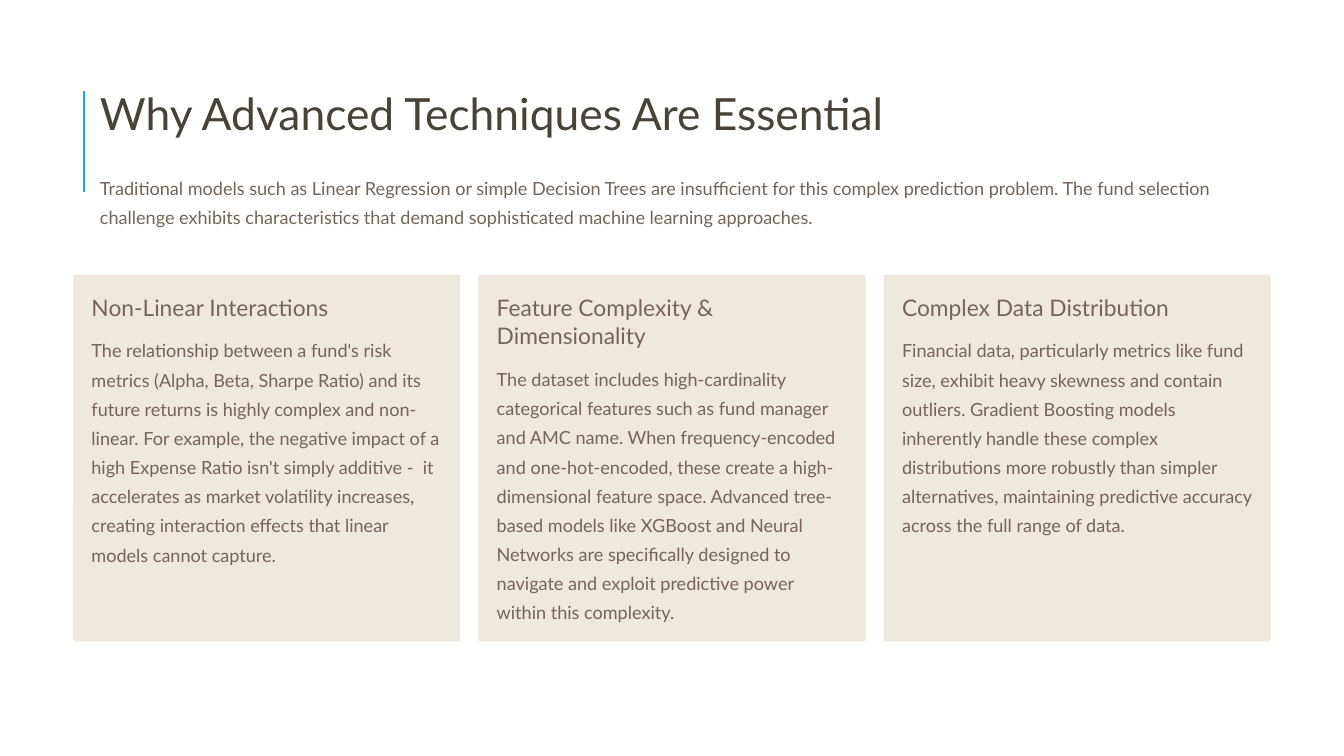
"""Build a slide with a title, an introduction and three text cards."""
import pptx
import pptx.dml.color
import pptx.enum.shapes
import pptx.enum.text
import pptx.oxml.ns
import pptx.util
from lxml import etree

Pt = pptx.util.Pt
FONT = "Lato"
COLORS = {"title": "484237", "text": "746558", "card": "EEE8DD", "accent": "1CADE4"}

CARD_LEFT, CARD_TOP, CARD_WIDTH, CARD_HEIGHT = 62.6, 235.4, 331.9, 314.6
CARD_PITCH, CARD_INSET = 347.4, 15.8
HEADING_LINE, HEADING_GAP = 24.5, 9.2

INTRO = (
    "Traditional models such as Linear Regression or simple Decision Trees are "
    "insufficient for this complex prediction problem. The fund selection challenge "
    "exhibits characteristics that demand sophisticated machine learning approaches."
)
CARDS = [
    ("Non-Linear Interactions", 1,
     "The relationship between a fund's risk metrics (Alpha, Beta, Sharpe Ratio) and its "
     "future returns is highly complex and non-linear. For example, the negative impact "
     "of a high Expense Ratio isn't simply additive -  it accelerates as market "
     "volatility increases, creating interaction effects that linear models cannot capture."),
    ("Feature Complexity & Dimensionality", 2,
     "The dataset includes high-cardinality categorical features such as fund manager "
     "and AMC name. When frequency-encoded and one-hot-encoded, these create a "
     "high-dimensional feature space. Advanced tree-based models like XGBoost and Neural "
     "Networks are specifically designed to navigate and exploit predictive power within "
     "this complexity."),
    ("Complex Data Distribution", 1,
     "Financial data, particularly metrics like fund size, exhibit heavy skewness and "
     "contain outliers. Gradient Boosting models inherently handle these complex "
     "distributions more robustly than simpler alternatives, maintaining predictive "
     "accuracy across the full range of data."),
]


def rgb(name):
    """Return the named colour."""
    return pptx.dml.color.RGBColor.from_string(COLORS[name])


def write_text(sp, text, size, spacing, color="text", wrap=True):
    """Fill a shape with one formatted paragraph without margins."""
    tf = sp.text_frame
    tf.margin_left = tf.margin_top = tf.margin_right = tf.margin_bottom = 0
    tf.word_wrap = wrap
    tf.auto_size = pptx.enum.text.MSO_AUTO_SIZE.NONE
    tf.vertical_anchor = pptx.enum.text.MSO_ANCHOR.TOP
    p = tf.paragraphs[0]
    p.alignment = pptx.enum.text.PP_ALIGN.LEFT
    p.line_spacing = Pt(spacing)
    p.space_before = Pt(0)
    r = p.add_run()
    r.text = text
    r.font.name = FONT
    r.font.size = Pt(size)
    r.font.color.rgb = rgb(color)


def add_text(s, left, top, width, height, text, size, spacing):
    """Add a wrapped text box."""
    sp = s.shapes.add_textbox(Pt(left), Pt(top), Pt(width), Pt(height))
    write_text(sp, text, size, spacing)


def add_title(s, text):
    """Place and fill the title placeholder."""
    sp = s.shapes.title
    sp.left, sp.top, sp.width, sp.height = Pt(85.7), Pt(80.6), Pt(794.9), Pt(51.8)
    write_text(sp, text, 38, 39, "title", wrap=False)


def add_accent_line(s):
    """Draw the vertical line beside the title."""
    line = s.shapes.add_connector(
        pptx.enum.shapes.MSO_CONNECTOR.STRAIGHT, Pt(72), Pt(164.2), Pt(72), Pt(77.8))
    line.line.color.rgb = rgb("accent")
    line.line.width = Pt(1.5)
    etree.SubElement(line._element.spPr, pptx.oxml.ns.qn("a:effectLst"))


def add_card(s, left, heading, heading_lines, body):
    """Add a rounded panel with its heading and body text."""
    sp = s.shapes.add_shape(
        pptx.enum.shapes.MSO_SHAPE.ROUNDED_RECTANGLE,
        Pt(left), Pt(CARD_TOP), Pt(CARD_WIDTH), Pt(CARD_HEIGHT))
    sp.adjustments[0] = 0.007
    sp.shadow.inherit = False
    sp.fill.solid()
    sp.fill.fore_color.rgb = rgb("card")
    sp.line.fill.background()

    text_left = left + CARD_INSET
    text_width = CARD_WIDTH - 2 * CARD_INSET
    heading_top = CARD_TOP + CARD_INSET
    heading_height = heading_lines * HEADING_LINE
    body_top = heading_top + heading_height + HEADING_GAP
    body_height = CARD_TOP + CARD_HEIGHT - CARD_INSET - body_top
    add_text(s, text_left, heading_top, text_width, heading_height, heading, 19.5, 24)
    add_text(s, text_left, body_top, text_width, body_height, body, 15.5, 25)


def main():
    """Build and save the slide."""
    prs = pptx.Presentation()
    prs.slide_width, prs.slide_height = Pt(1152), Pt(648)
    s = prs.slides.add_slide(prs.slide_layouts.get_by_name("Title Only"))
    add_accent_line(s)
    add_title(s, "Why Advanced Techniques Are Essential")
    add_text(s, 85.7, 145.4, 1011.6, 49.7, INTRO, 15.5, 25)
    for i, card in enumerate(CARDS):
        add_card(s, CARD_LEFT + i * CARD_PITCH, *card)
    prs.save("out.pptx")


if __name__ == "__main__":
    main()
